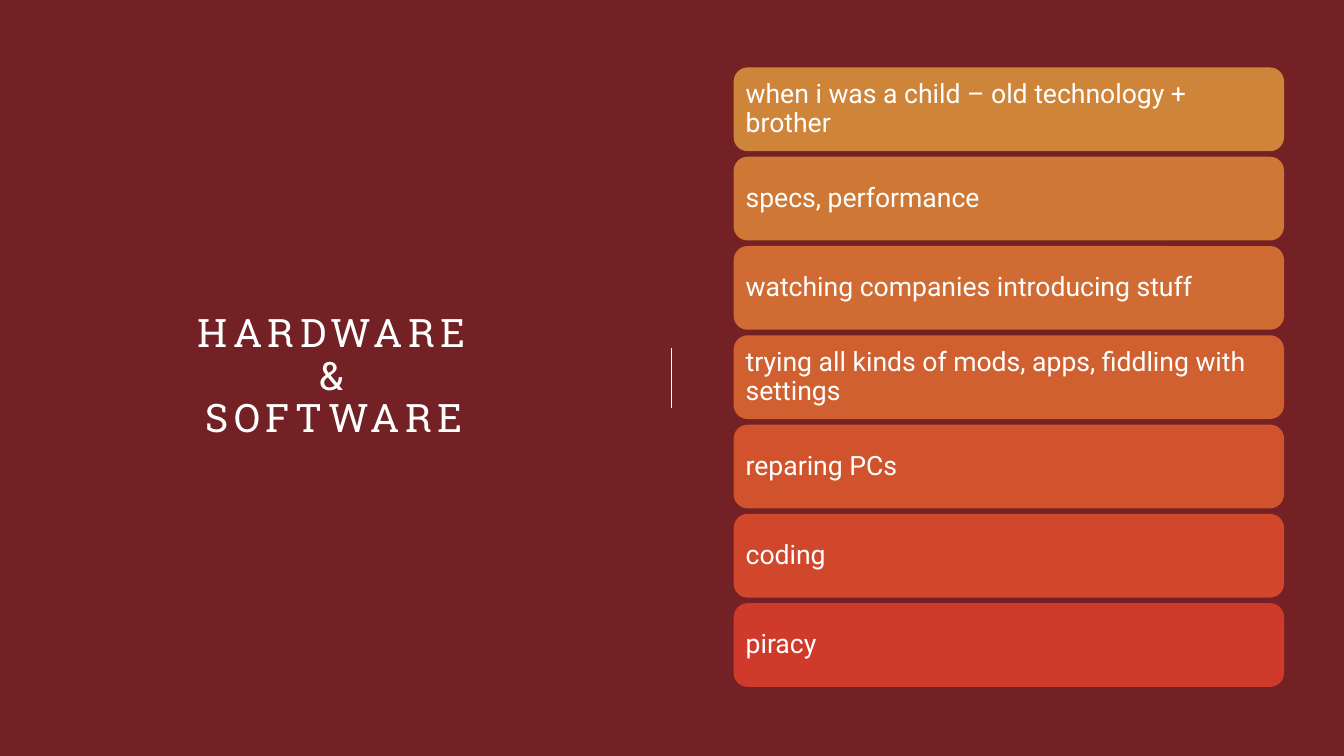
from lxml import etree
from pptx import Presentation
from pptx.dml.color import RGBColor
from pptx.enum.shapes import MSO_CONNECTOR, MSO_SHAPE
from pptx.enum.text import MSO_ANCHOR, PP_ALIGN
from pptx.oxml.ns import qn
from pptx.util import Cm, Pt

ROUNDED = MSO_SHAPE.ROUNDED_RECTANGLE
STRAIGHT = MSO_CONNECTOR.STRAIGHT
MIDDLE = MSO_ANCHOR.MIDDLE
LEFT, CENTER = PP_ALIGN.LEFT, PP_ALIGN.CENTER

COLORS = {"background": "732124", "white": "FFFFFF"}

TITLE_LINES = ["HARDWARE", "&", "SOFTWARE"]

# Topic and card colour, from top to bottom
TOPICS = [
    ("when i was a child – old technology + brother", "CE8439"),
    ("specs, performance", "CF7836"),
    ("watching companies introducing stuff", "D06C33"),
    ("trying all kinds of mods, apps, fiddling with settings", "D06030"),
    ("reparing PCs", "D0532D"),
    ("coding", "D0472C"),
    ("piracy", "CF3A2A"),
]
CARD_TOP, CARD_PITCH = 1.7, 2.25


def set_up_frame(frame, inset):
    frame.word_wrap = True
    frame.vertical_anchor = MIDDLE
    frame.margin_left = frame.margin_right = Cm(inset)
    frame.margin_top = frame.margin_bottom = Cm(inset)


def format_para(para, align):
    para.alignment = align
    para.line_spacing = 0.9


def add_span(para, text, font, size):
    span = para.add_run()
    span.text = text
    span.font.name = font
    span.font.size = Pt(size)
    span.font.color.rgb = RGBColor.from_string(COLORS["white"])
    return span


def add_title(page, lines):
    box = page.shapes.add_textbox(Cm(3), Cm(3), Cm(10.85), Cm(13.03))
    set_up_frame(box.text_frame, 0)
    para = box.text_frame.paragraphs[0]
    format_para(para, CENTER)
    for index, line in enumerate(lines):
        if index:
            para.add_line_break()
        span = add_span(para, line, "Roboto Slab", 28)
        span.font._element.set("spc", "400")  # letter spacing of 4 pt
    # Line breaks take the size of the text around them
    for line_break in para._p.findall(qn("a:br")):
        etree.SubElement(line_break, qn("a:rPr")).set("sz", "2800")


def add_divider(page):
    line = page.shapes.add_connector(STRAIGHT, Cm(16.93), Cm(8.76), Cm(16.93), Cm(10.29))
    line.line.color.rgb = RGBColor.from_string(COLORS["white"])
    line.line.width = Pt(1)
    etree.SubElement(line._element.spPr, qn("a:effectLst"))


def add_card(page, top, text, color):
    card = page.shapes.add_shape(ROUNDED, Cm(18.49), Cm(top), Cm(13.87), Cm(2.11))
    card.shadow.inherit = False
    card.fill.solid()
    card.fill.fore_color.rgb = RGBColor.from_string(color)
    card.line.fill.background()
    set_up_frame(card.text_frame, 0.2)
    para = card.text_frame.paragraphs[0]
    format_para(para, LEFT)
    add_span(para, text, "Roboto", 19)


def main():
    deck = Presentation()
    deck.slide_width, deck.slide_height = Cm(33.87), Cm(19.05)
    page = deck.slides.add_slide(deck.slide_layouts[6])
    page.background.fill.solid()
    page.background.fill.fore_color.rgb = RGBColor.from_string(COLORS["background"])

    # Left half: title and divider
    add_title(page, TITLE_LINES)
    add_divider(page)

    # Right half: stack of topic cards
    for index, (text, color) in enumerate(TOPICS):
        add_card(page, CARD_TOP + index * CARD_PITCH, text, color)

    deck.save("out.pptx")


if __name__ == "__main__":
    main()
